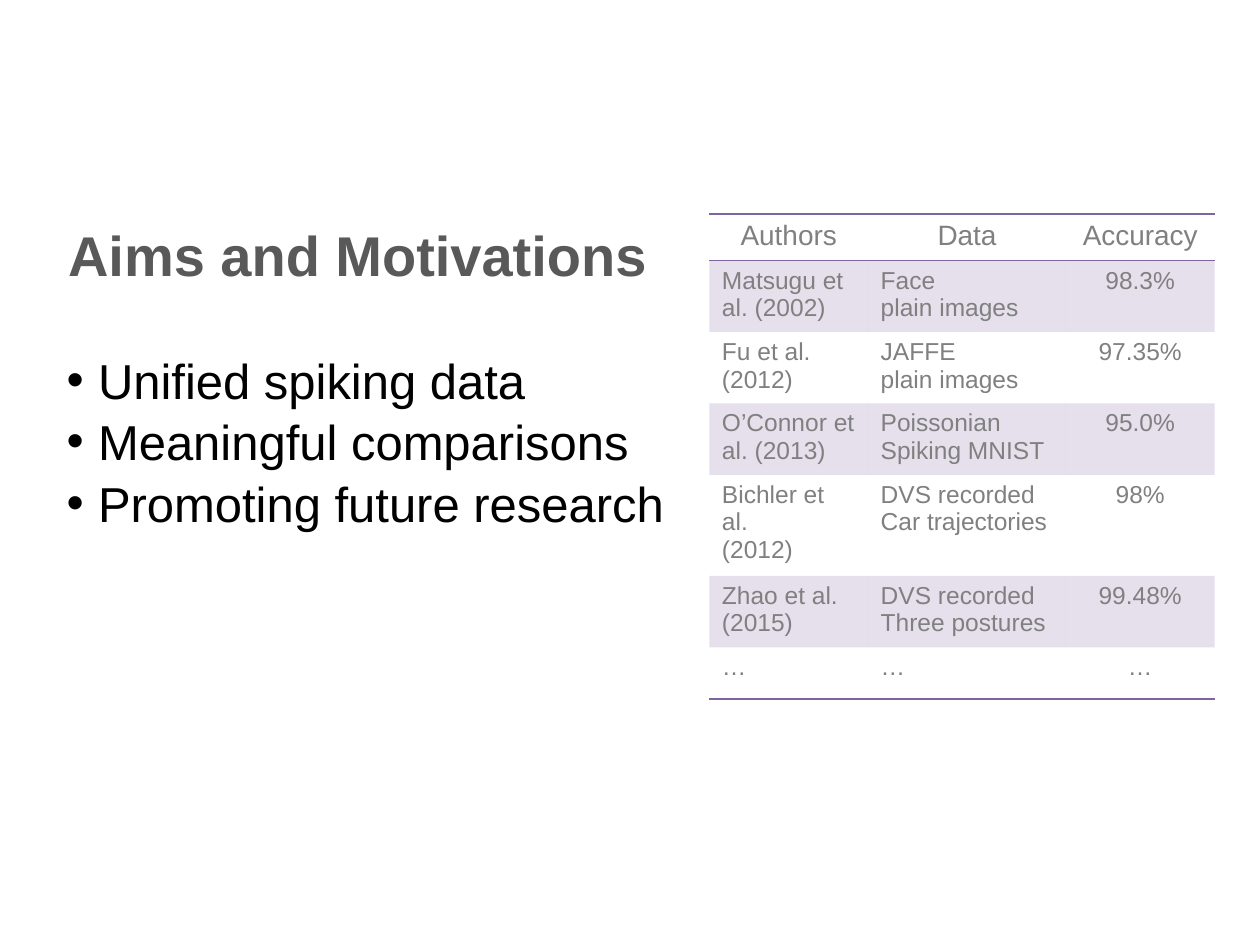
"""Build a slide with aims on the left and a table of published accuracies on the right."""
import pptx
import pptx.dml.color
import pptx.enum.text
import pptx.oxml.ns
import pptx.oxml.xmlchemy
import pptx.util
from lxml import etree

Inches = pptx.util.Inches
Pt = pptx.util.Pt
ALIGN = pptx.enum.text.PP_ALIGN
ANCHOR = pptx.enum.text.MSO_ANCHOR
qn = pptx.oxml.ns.qn

FONT = "Arial"
COLOURS = {"title": "595959", "body": "000000", "table": "808080", "accent": "8064A2"}
BAND_ALPHA = 20000
PLAIN_TABLE_STYLE = "{2D5ABB26-0587-4C30-8999-92F81FD0307C}"

AIMS = ["Unified spiking data", "Meaningful comparisons", "Promoting future research"]
COLUMN_WIDTHS = [1.26, 1.57, 1.18]
ROW_HEIGHTS = [0.35, 0.54, 0.54, 0.54, 0.76, 0.54, 0.41]
ROWS = [
    ["Authors", "Data", "Accuracy"],
    ["Matsugu et al. (2002)", "Face\nplain images", "98.3%"],
    ["Fu et al.\n(2012)", "JAFFE\nplain images", "97.35%"],
    ["O’Connor et al. (2013)", "Poissonian\nSpiking MNIST", "95.0%"],
    ["Bichler et al.\n(2012)", "DVS recorded\nCar trajectories", "98%"],
    ["Zhao et al.\n(2015)", "DVS recorded\nThree postures", "99.48%"],
    ["…", "…", "…"],
]


def rgb(name):
    return pptx.dml.color.RGBColor.from_string(COLOURS[name])


def write_lines(text_frame, lines, size, colour, bold=False, align=ALIGN.LEFT):
    for index, line in enumerate(lines):
        paragraph = text_frame.paragraphs[0] if index == 0 else text_frame.add_paragraph()
        paragraph.alignment = align
        run = paragraph.add_run()
        run.text = line
        run.font.name = FONT
        run.font.size = Pt(size)
        run.font.bold = bold
        run.font.color.rgb = rgb(colour)


def add_title(slide, text):
    title = slide.shapes.title
    title.left, title.top = Inches(0.44), Inches(1.39)
    title.width, title.height = Inches(6.39), Inches(1.25)
    title.text_frame.vertical_anchor = ANCHOR.MIDDLE
    write_lines(title.text_frame, [text], 32, "title", bold=True)


def add_bullets(slide, lines):
    box = slide.shapes.add_textbox(Inches(0.43), Inches(2.73), Inches(9), Inches(3.97))
    box.text_frame.word_wrap = True
    write_lines(box.text_frame, lines, 28, "body")
    for paragraph in box.text_frame.paragraphs:
        paragraph.space_before = Pt(1.5)
        properties = paragraph._p.get_or_add_pPr()
        properties.set("marL", str(Inches(0.25)))
        properties.set("indent", str(-Inches(0.25)))
        etree.SubElement(properties, qn("a:buFont"), typeface=FONT)
        etree.SubElement(properties, qn("a:buChar"), char="•")


def add_border(cell, side):
    line = etree.SubElement(cell._tc.get_or_add_tcPr(), qn(f"a:ln{side}"), w=str(Pt(1)))
    fill = etree.SubElement(line, qn("a:solidFill"))
    etree.SubElement(fill, qn("a:srgbClr"), val=COLOURS["accent"])


def fill_cell(cell, banded):
    if not banded:
        cell.fill.background()
        return
    cell.fill.solid()
    cell.fill.fore_color.rgb = rgb("accent")
    colour = cell._tc.tcPr.find(f"{qn('a:solidFill')}/{qn('a:srgbClr')}")
    etree.SubElement(colour, qn("a:alpha"), val=str(BAND_ALPHA))


def add_results_table(slide):
    frame = slide.shapes.add_table(
        len(ROWS), len(COLUMN_WIDTHS), Inches(5.63), Inches(1.7),
        Inches(sum(COLUMN_WIDTHS)), Inches(sum(ROW_HEIGHTS)))
    table = frame.table
    table.first_row = table.horz_banding = False
    next(frame.element.iter(qn("a:tableStyleId"))).text = PLAIN_TABLE_STYLE
    for column, width in zip(table.columns, COLUMN_WIDTHS):
        column.width = Inches(width)
    last_row, last_column = len(ROWS) - 1, len(COLUMN_WIDTHS) - 1
    for row_index, texts in enumerate(ROWS):
        table.rows[row_index].height = Inches(ROW_HEIGHTS[row_index])
        header = row_index == 0
        sides = "TB" if header else "B" if row_index == last_row else ""
        for column_index, text in enumerate(texts):
            cell = table.cell(row_index, column_index)
            centred = header or column_index == last_column
            write_lines(cell.text_frame, text.split("\n"), 16 if header else 14, "table",
                        align=ALIGN.CENTER if centred else ALIGN.LEFT)
            for side in sides:
                add_border(cell, side)
            fill_cell(cell, banded=row_index % 2 == 1)


def main():
    presentation = pptx.Presentation()
    presentation.slide_width, presentation.slide_height = Inches(10), Inches(7.5)
    slide = presentation.slides.add_slide(presentation.slide_layouts[5])
    add_title(slide, "Aims and Motivations")
    add_bullets(slide, AIMS)
    add_results_table(slide)
    presentation.save("out.pptx")


if __name__ == "__main__":
    main()
